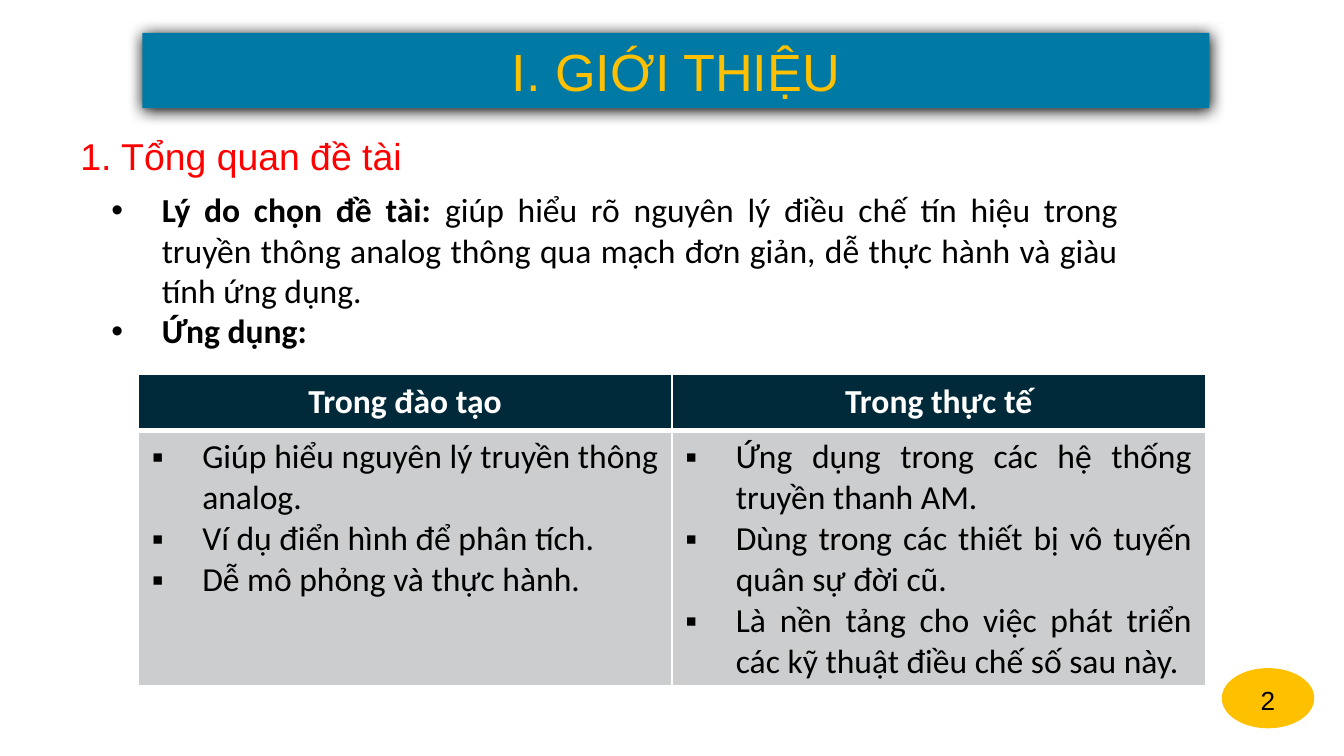
import dataclasses

import pptx
import pptx.dml.color
import pptx.enum.shapes
import pptx.enum.text
import pptx.oxml
import pptx.oxml.ns
import pptx.util

RGB = pptx.dml.color.RGBColor
ALIGN = pptx.enum.text.PP_ALIGN
ANCHOR = pptx.enum.text.MSO_ANCHOR
SHAPE = pptx.enum.shapes.MSO_SHAPE

WHITE = RGB(0xFF, 0xFF, 0xFF)
BLACK = RGB(0x00, 0x00, 0x00)
RED = RGB(0xFF, 0x00, 0x00)
GOLD = RGB(0xFF, 0xC0, 0x00)
BLUE = RGB(0x00, 0x79, 0xA5)
NAVY = RGB(0x00, 0x29, 0x39)
GREY = RGB(0xCC, 0xCD, 0xCE)

SCALE = 4572  # EMU per px, 200 px to the inch
INDENT = 75
NS = pptx.oxml.ns.nsdecls("a")


@dataclasses.dataclass
class Box:
    left: int
    top: int
    width: int
    height: int

    def emu(self) -> list[pptx.util.Emu]:
        return [px(n) for n in dataclasses.astuple(self)]


@dataclasses.dataclass
class Style:
    font: str
    size: int
    color: RGB
    bold: bool = False
    align: ALIGN = ALIGN.LEFT
    bullet: str = ""


@dataclasses.dataclass
class Column:
    head: str
    items: list[str]


HEAD = Style("Calibri", 18, WHITE, True, ALIGN.CENTER)
ITEM = Style("Calibri", 18, BLACK, False, ALIGN.JUSTIFY, "▪")
POINT = Style("Calibri", 18, BLACK, False, ALIGN.JUSTIFY, "•")
USE = Style("Calibri", 18, BLACK, True, ALIGN.LEFT, "•")

COLUMNS = [
    Column("Trong đào tạo", [
        "Giúp hiểu nguyên lý truyền thông analog.",
        "Ví dụ điển hình để phân tích.",
        "Dễ mô phỏng và thực hành.",
    ]),
    Column("Trong thực tế", [
        "Ứng dụng trong các hệ thống truyền thanh AM.",
        "Dùng trong các thiết bị vô tuyến quân sự đời cũ.",
        "Là nền tảng cho việc phát triển các kỹ thuật điều chế số sau này.",
    ]),
]


def px(count: int) -> pptx.util.Emu:
    return pptx.util.Emu(count * SCALE)


def format_par(par, style: Style) -> None:
    par.alignment = style.align
    if style.bullet:
        props = par._p.get_or_add_pPr()
        props.set("marL", str(px(INDENT)))
        props.set("indent", str(-px(INDENT)))
        for xml in (f'<a:buFont {NS} typeface="Arial"/>',
                    f'<a:buChar {NS} char="{style.bullet}"/>'):
            props.append(pptx.oxml.parse_xml(xml))
    for run in par.runs:
        run.font.name = style.font
        run.font.size = pptx.util.Pt(style.size)
        run.font.bold = style.bold
        run.font.color.rgb = style.color


def write(frame, lines: list[str], style: Style) -> None:
    frame.text = "\n".join(lines)
    for par in frame.paragraphs:
        format_par(par, style)


def add_label(slide, box: Box):
    frame = slide.shapes.add_textbox(*box.emu()).text_frame
    frame.word_wrap = True
    return frame


def add_panel(slide, kind: SHAPE, box: Box, fill: RGB, text: str, style: Style):
    panel = slide.shapes.add_shape(kind, *box.emu())
    panel.shadow.inherit = False
    panel.fill.solid()
    panel.fill.fore_color.rgb = fill
    panel.line.fill.background()
    write(panel.text_frame, [text], style)
    return panel


def add_shadow(shape) -> None:
    blur, dist = pptx.util.Pt(8.5), pptx.util.Pt(1)
    effects = shape._element.spPr.find(pptx.oxml.ns.qn("a:effectLst"))
    effects.append(pptx.oxml.parse_xml(
        f'<a:outerShdw {NS} blurRad="{blur}" dist="{dist}" dir="5400000" '
        f'rotWithShape="0"><a:srgbClr val="{BLACK}"/></a:outerShdw>'))


def fill_cell(cell, lines: list[str], style: Style, fill: RGB,
              top: int, bottom: int) -> None:
    write(cell.text_frame, lines, style)
    cell.fill.solid()
    cell.fill.fore_color.rgb = fill
    props = cell._tc.get_or_add_tcPr()
    edges = {"lnL": 1, "lnR": 1, "lnT": top, "lnB": bottom}
    for spot, (tag, width) in enumerate(edges.items()):
        props.insert(spot, pptx.oxml.parse_xml(
            f'<a:{tag} {NS} w="{pptx.util.Pt(width)}"><a:solidFill>'
            f'<a:srgbClr val="{WHITE}"/></a:solidFill></a:{tag}>'))


def add_grid(slide, box: Box, heights: list[int], columns: list[Column]) -> None:
    grid = slide.shapes.add_table(len(heights), len(columns), *box.emu()).table
    grid.horz_banding = False
    for row, height in zip(grid.rows, heights):
        row.height = px(height)
    for spot, col in enumerate(columns):
        grid.columns[spot].width = px(box.width // len(columns))
        fill_cell(grid.cell(0, spot), [col.head], HEAD, NAVY, 1, 3)
        fill_cell(grid.cell(1, spot), col.items, ITEM, GREY, 3, 1)


def main() -> None:
    deck = pptx.Presentation()
    deck.slide_width, deck.slide_height = px(2000), px(1125)
    slide = deck.slides.add_slide(deck.slide_layouts[6])
    slide.background.fill.solid()
    slide.background.fill.fore_color.rgb = WHITE

    # Section heading
    write(add_label(slide, Box(100, 188, 700, 88)), ["1. Tổng quan đề tài"],
          Style("Arial", 20, RED))

    # Page number
    badge = add_panel(slide, SHAPE.OVAL, Box(1821, 997, 132, 84), GOLD, "2",
                      Style("Arial", 14, BLACK, align=ALIGN.CENTER))
    badge.line.color.rgb = GOLD
    badge.line.width = pptx.util.Pt(2)
    badge.text_frame.vertical_anchor = ANCHOR.TOP

    # Title bar
    title = add_panel(slide, SHAPE.RECTANGLE, Box(212, 49, 1588, 112), BLUE,
                      "I. GIỚI THIỆU",
                      Style("Arial", 28, GOLD, align=ALIGN.CENTER))
    add_shadow(title)
    frame = title.text_frame
    frame.vertical_anchor = ANCHOR.MIDDLE
    frame.margin_left = frame.margin_right = px(12)
    frame.margin_top = frame.margin_bottom = px(12)

    # Reason and uses
    frame = add_label(slide, Box(146, 272, 1538, 398))
    reason = frame.paragraphs[0]
    reason.text = "Lý do chọn đề tài: "
    reason.add_run().text = (
        "giúp hiểu rõ nguyên lý điều chế tín hiệu trong truyền thông analog "
        "thông qua mạch đơn giản, dễ thực hành và giàu tính ứng dụng.")
    format_par(reason, POINT)
    reason.runs[0].font.bold = True
    uses = frame.add_paragraph()
    uses.text = "Ứng dụng:"
    format_par(uses, USE)

    # Table of uses
    add_grid(slide, Box(206, 557, 1588, 464), [83, 380], COLUMNS)

    deck.save("out.pptx")


if __name__ == "__main__":
    main()
